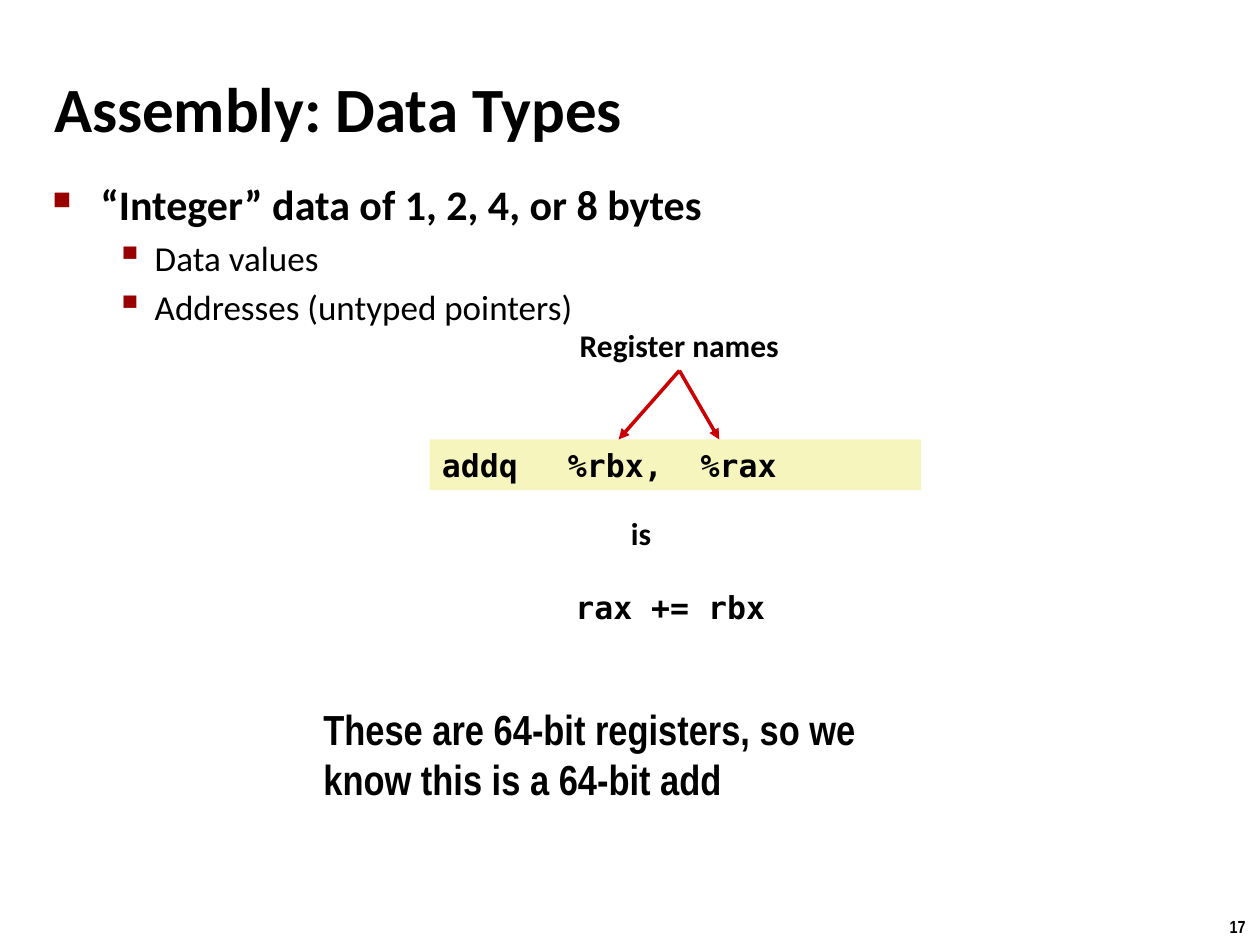
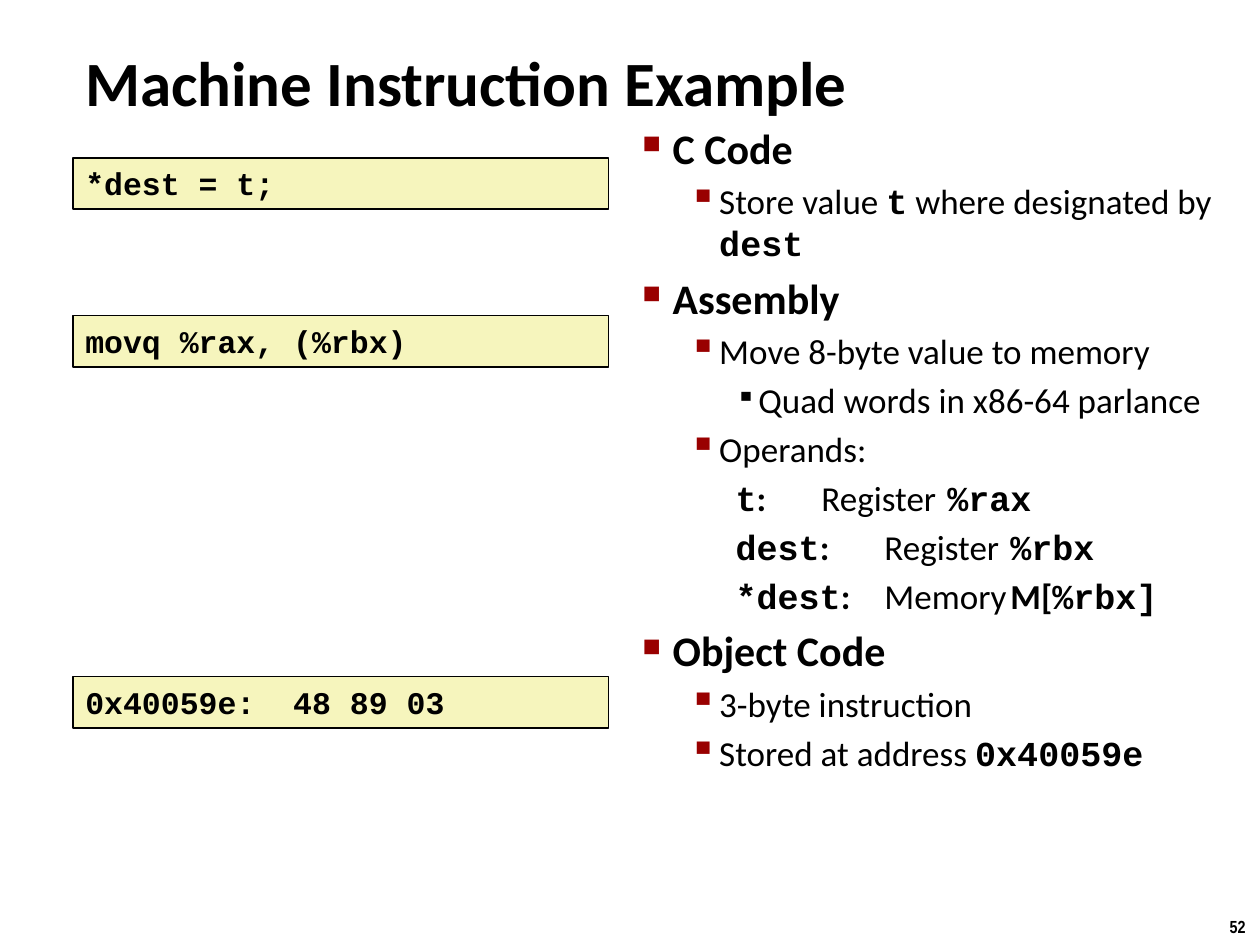
import pptx
import pptx.dml.color
import pptx.enum.shapes
import pptx.enum.text
import pptx.util
from pptx.oxml.ns import qn
from lxml import etree

Cm, Pt = pptx.util.Cm, pptx.util.Pt
RGBColor = pptx.dml.color.RGBColor
PP_ALIGN = pptx.enum.text.PP_ALIGN
MSO_ANCHOR = pptx.enum.text.MSO_ANCHOR

BLACK = RGBColor(0x00, 0x00, 0x00)
CODE_FILL = RGBColor(0xF6, 0xF5, 0xBD)
BULLET_RED = RGBColor(0x99, 0x00, 0x00)
ARROW_RED = RGBColor(0xCC, 0x00, 0x00)

SANS, NARROW = "Calibri", "Arial Narrow"
COURIER, MONO = "Courier New", "DejaVu Sans Mono"

# Per outline level: bullet, size in percent, colour, text size
LEVELS = [("■", 60, BULLET_RED, 24), ("▪", 110, BULLET_RED, 20), ("▪", 80, BLACK, 20)]


def add_run(p, text, size, font=SANS, bold=True):
    r = p.add_run()
    r.text = text
    r.font.size, r.font.name, r.font.bold = Pt(size), font, bold
    r.font.color.rgb = BLACK


def add_text(s, box, text, size, font=SANS, align=PP_ALIGN.LEFT, wrap=True):
    sp = s.shapes.add_textbox(*map(Cm, box))
    tf = sp.text_frame
    tf.word_wrap = wrap
    p = tf.paragraphs[0]
    p.alignment = align
    add_run(p, text, size, font)
    return sp


def sub(parent, tag, **attrs):
    return etree.SubElement(parent, qn(tag), {k: str(v) for k, v in attrs.items()})


def add_tabs(p, stops):
    tabs = sub(p._p.get_or_add_pPr(), "a:tabLst")
    for stop in stops:
        sub(tabs, "a:tab", pos=int(Cm(stop)), algn="l")


def add_frame(s, title, title_box, number):
    """Title and page number, which every slide has."""
    sp = add_text(s, title_box, title, 36)
    sp.text_frame.vertical_anchor = MSO_ANCHOR.MIDDLE
    add_text(s, (24.54, 18.34, 0.86, 0.69), number, 10, NARROW, wrap=False)


def add_outline(s, box, items, indents, tabs=()):
    """Bulleted outline; items are (level, has bullet, runs)."""
    tf = s.shapes.add_textbox(*map(Cm, box)).text_frame
    tf.word_wrap = True
    for i, (level, bulleted, runs) in enumerate(items):
        p = tf.add_paragraph() if i else tf.paragraphs[0]
        p.level = level
        char, percent, color, size = LEVELS[level]
        left, hang = indents[level]
        pPr = p._p.get_or_add_pPr()
        pPr.set("marL", str(int(Cm(left))))
        pPr.set("indent", str(-int(Cm(hang))))
        sub(sub(pPr, "a:spcBef"), "a:spcPct", val=20000)
        if bulleted:
            sub(sub(pPr, "a:buClr"), "a:srgbClr", val=color)
            sub(pPr, "a:buSzPct", val=percent * 1000)
            sub(pPr, "a:buChar", char=char)
        else:
            sub(pPr, "a:buNone")
        if tabs:
            add_tabs(p, tabs)
        for text, font, bold in runs:
            add_run(p, text, size, font, bold)


def plain(text):
    return text, SANS, False


def strong(text):
    return text, SANS, True


def code(text):
    return text, COURIER, True


def add_code_box(s, box, text, font, outlined):
    sp = s.shapes.add_shape(pptx.enum.shapes.MSO_SHAPE.RECTANGLE, *map(Cm, box))
    sp.shadow.inherit = False
    sp.fill.solid()
    sp.fill.fore_color.rgb = CODE_FILL
    if outlined:
        sp.line.color.rgb = BLACK
        sp.line.width = Pt(1)
    else:
        sp.line.fill.background()
    tf = sp.text_frame
    tf.word_wrap = True
    tf.vertical_anchor = MSO_ANCHOR.TOP
    p = tf.paragraphs[0]
    p.alignment = PP_ALIGN.LEFT
    add_run(p, text, 18, font)
    return p


def add_arrow(s, source, x, y):
    """Arrow from the middle of the source's bottom side to (x, y)."""
    c = s.shapes.add_connector(pptx.enum.shapes.MSO_CONNECTOR.STRAIGHT,
                               0, 0, Cm(x), Cm(y))
    c.begin_connect(source, 2)
    c.line.color.rgb = ARROW_RED
    c.line.width = Pt(2)
    sub(c.line._get_or_add_ln(), "a:tailEnd", type="triangle")
    sub(c._element.spPr, "a:effectLst")


def add_register_diagram(s, box):
    """Instruction with its register names pointed out, and its meaning."""
    x, y, w, h = box
    row = 1.02
    code_y = y + 2.41
    label = add_text(s, (x + 1.91, y, 6.25, row), "Register names", 18,
                     align=PP_ALIGN.CENTER)
    p = add_code_box(s, (x, code_y, w, row), "addq\t%rbx,  %rax", MONO, False)
    add_tabs(p, [2.54])
    for register_x in (3.81, 5.84):
        add_arrow(s, label, x + register_x, code_y)
    add_text(s, (x + 3.81, y + 3.78, 2.16, row), "is", 18)
    add_text(s, (x + 2.69, y + h - row, 4.42, row), "rax += rbx", 18, MONO)


def add_code_column(s, box, lines):
    """Outlined code lines, each at its offset from the top."""
    x, y, w, h = box
    for offset, text in lines:
        add_code_box(s, (x, y + offset, w, h), text, COURIER, True)


def build_data_types(prs):
    s = prs.slides.add_slide(prs.slide_layouts[6])
    add_frame(s, "Assembly: Data Types", (0.84, 1.37, 23.29, 1.6), "17")
    items = [
        (0, True, [strong("“Integer” data of 1, 2, 4, or 8 bytes")]),
        (1, True, [plain("Data values")]),
        (1, True, [plain("Addresses (untyped pointers)")]),
    ]
    add_outline(s, (0.81, 3.48, 23.75, 15.37), items, [(0.97, 0.97), (2.06, 0.79)])
    add_register_diagram(s, (8.66, 6.45, 9.91, 6.3))
    add_text(s, (6.27, 14.05, 12.83, 2.31),
             "These are 64-bit registers, so we know this is a 64-bit add", 24, NARROW)


def build_instruction_example(prs):
    s = prs.slides.add_slide(prs.slide_layouts[6])
    add_frame(s, "Machine Instruction Example", (1.47, 0.84, 20.17, 1.6), "52")
    items = [
        (0, True, [strong("C Code")]),
        (1, True, [plain("Store value "), code("t"),
                   plain(" where designated by "), code("dest")]),
        (0, True, [strong("Assembly")]),
        (1, True, [plain("Move 8-byte value to memory")]),
        (2, True, [plain("Quad words in x86-64 parlance")]),
        (1, True, [plain("Operands:")]),
        (2, False, [code("t"), strong(":"), plain("\tRegister\t"), code("%rax")]),
        (2, False, [code("dest"), strong(":"), plain("\tRegister\t"), code("%rbx")]),
        (2, False, [code("*dest"), strong(":"), plain(" \tMemory\t"),
                    strong("M["), code("%rbx]")]),
        (0, True, [strong("Object Code")]),
        (1, True, [plain("3-byte instruction")]),
        (1, True, [plain("Stored at address "), code("0x40059e")]),
    ]
    add_outline(s, (12.7, 2.34, 12.7, 16.08), items,
                [(0.61, 0.61), (1.55, 0.61), (2.34, 0.46)], tabs=(4.45, 6.99))
    add_code_column(s, (1.47, 3.18, 10.8, 1.04), [
        (0, "*dest = t;"),
        (3.18, "movq %rax, (%rbx)"),
        (10.46, "0x40059e:  48 89 03"),
    ])


def main():
    prs = pptx.Presentation()
    prs.slide_width, prs.slide_height = Cm(25.4), Cm(19.05)
    build_data_types(prs)
    build_instruction_example(prs)
    prs.save("out.pptx")


if __name__ == "__main__":
    main()
